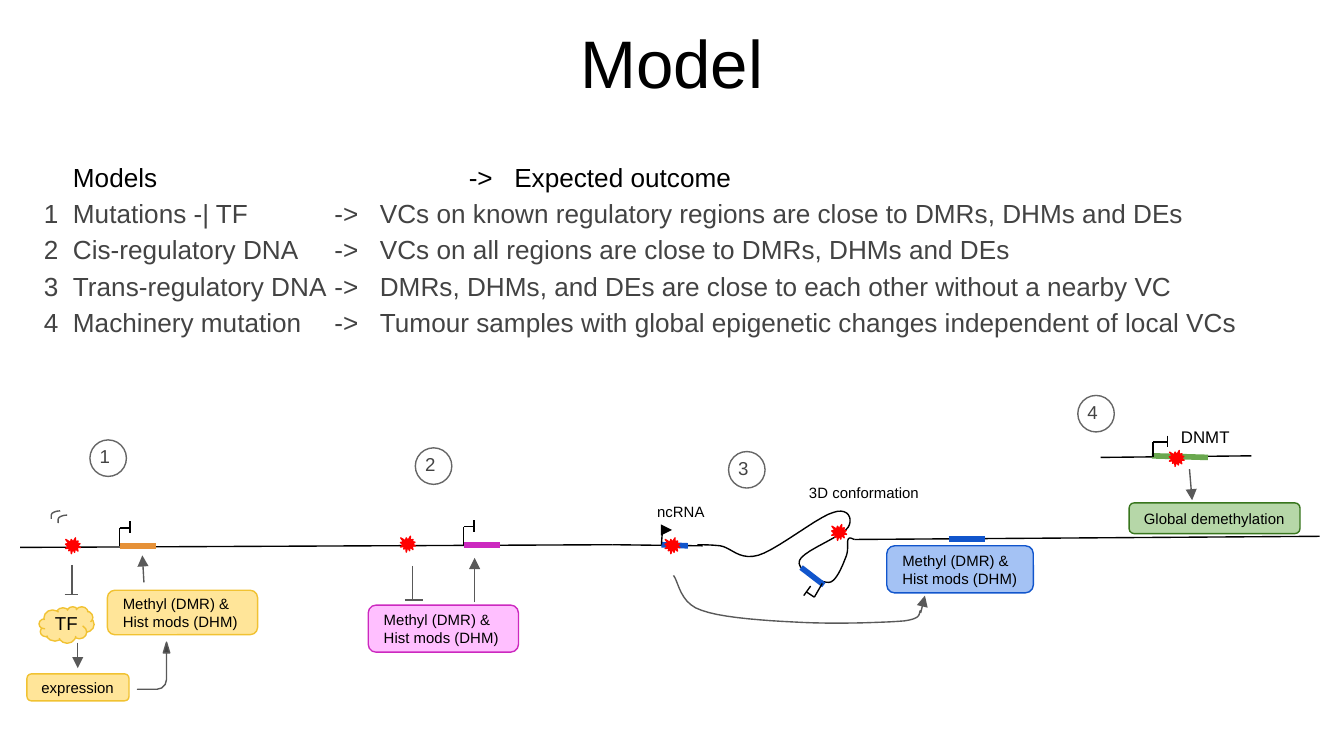
from pptx import Presentation
from pptx.dml.color import RGBColor as RGB
from pptx.enum.shapes import MSO_CONNECTOR as Link, MSO_SHAPE as Kind
from pptx.enum.text import MSO_ANCHOR as Anchor, PP_ALIGN as Align
from pptx.oxml.ns import qn
from pptx.util import Cm, Pt
from lxml.etree import SubElement as Sub

BLACK = RGB(0x00, 0x00, 0x00)
DARK = RGB(0x43, 0x43, 0x43)
GREY = RGB(0x59, 0x59, 0x59)
RING = RGB(0x66, 0x66, 0x66)
RED = RGB(0xFF, 0x00, 0x00)
CREAM = RGB(0xFF, 0xE5, 0x99)
GOLD = RGB(0xF1, 0xC2, 0x32)
ORANGE = RGB(0xE6, 0x91, 0x38)
PINK = RGB(0xFF, 0x00, 0xFF)
PLUM = RGB(0xCC, 0x29, 0xBF)
SKY = RGB(0xA4, 0xC2, 0xF4)
BLUE = RGB(0x11, 0x55, 0xCC)
MINT = RGB(0xB6, 0xD7, 0xA8)
LEAF = RGB(0x6A, 0xA8, 0x4F)
GREEN = RGB(0x38, 0x76, 0x1D)

MARKS = "Methyl (DMR) &\nHist mods (DHM)"
ROWS = [
    ("", "Models", "Expected outcome"),
    ("1", "Mutations -| TF",
     "VCs on known regulatory regions are close to DMRs, DHMs and DEs"),
    ("2", "Cis-regulatory DNA",
     "VCs on all regions are close to DMRs, DHMs and DEs"),
    ("3", "Trans-regulatory DNA",
     "DMRs, DHMs, and DEs are close to each other without a nearby VC"),
    ("4", "Machinery mutation",
     "Tumour samples with global epigenetic changes independent of local VCs"),
]
# Chromatin loop and the path from ncRNA to its target: a start, then Béziers
LOOP = [
    (16.15, 10.19), (16.13, 10.19), (16.05, 10.13), (16.03, 10.19),
    (16, 10.24), (16.05, 10.39), (15.98, 10.54),
    (15.93, 10.67), (15.8, 11), (15.67, 11),
    (15.52, 11.02), (15.04, 10.77), (15.11, 10.59),
    (15.16, 10.41), (15.93, 10.13), (16.03, 9.96),
    (16.13, 9.8), (16.03, 9.58), (15.75, 9.68),
    (15.47, 9.75), (14.68, 10.39), (14.33, 10.49),
    (13.97, 10.59), (13.82, 10.34), (13.61, 10.31),
    (13.44, 10.29), (13.26, 10.29), (13.18, 10.29),
]
TRANS = [
    (12.73, 10.87), (12.83, 11), (12.85, 11.4), (13.26, 11.53),
    (13.67, 11.68), (14.55, 11.73), (15.19, 11.76),
    (15.82, 11.79), (16.74, 11.76), (17.09, 11.73),
    (17.45, 11.68), (17.35, 11.58), (17.4, 11.53),
]


def write(frame, text, size=8, color=BLACK, align=Align.LEFT,
          anchor=Anchor.TOP, inset=0.25, space=None, tabs=()):
    """Fill a text frame, one paragraph a line; tabs has stops for each line."""
    frame.word_wrap = True
    frame.vertical_anchor = anchor
    frame.margin_left = frame.margin_right = Cm(inset)
    frame.margin_top = frame.margin_bottom = Cm(inset)
    for i, line in enumerate(text.split("\n")):
        para = frame.add_paragraph() if i else frame.paragraphs[0]
        if tabs:
            stops = Sub(para._p.get_or_add_pPr(), qn("a:tabLst"))
            for stop in tabs[i]:
                Sub(stops, qn("a:tab"), pos=str(Cm(stop)), algn="l")
        para.alignment = align
        if space:
            para.line_spacing = space
        run = para.add_run()
        run.text = line
        run.font.name, run.font.size = "Arial", Pt(size)
        run.font.color.rgb = color


def label(slide, text, x, y, w, h, **style):
    box = slide.shapes.add_textbox(Cm(x), Cm(y), Cm(w), Cm(h))
    write(box.text_frame, text, **style)
    return box


def paint(shape, fill, edge):
    shape.shadow.inherit = False
    if fill is None:
        shape.fill.background()
    else:
        shape.fill.solid()
        shape.fill.fore_color.rgb = fill
    shape.line.color.rgb = edge
    shape.line.width = Pt(0.75)


def form(slide, kind, x, y, w, h, fill, edge):
    shape = slide.shapes.add_shape(kind, Cm(x), Cm(y), Cm(w), Cm(h))
    paint(shape, fill, edge)
    return shape


def card(slide, text, x, y, w, h, fill, edge):
    shape = form(slide, Kind.ROUNDED_RECTANGLE, x, y, w, h, fill, edge)
    write(shape.text_frame, text, anchor=Anchor.MIDDLE)
    return shape


def line(slide, x1, y1, x2, y2, color=BLACK, width=0.75, head=False,
         kind=Link.STRAIGHT):
    link = slide.shapes.add_connector(kind, Cm(x1), Cm(y1), Cm(x2), Cm(y2))
    link.line.color.rgb = color
    link.line.width = Pt(width)
    if head:
        Sub(link.line._get_or_add_ln(), qn("a:tailEnd"), type="triangle")
    Sub(link._element.spPr, qn("a:effectLst"))
    return link


def curve(slide, spots, color, steps=10):
    dots = []
    for i in range(0, len(spots) - 1, 3):
        for k in range(1, steps + 1):
            t = k / steps
            mix = ((1 - t) ** 3, 3 * t * (1 - t) ** 2, 3 * t * t * (1 - t), t ** 3)
            dots.append(tuple(Cm(sum(m * p[d] for m, p in zip(mix, spots[i:i + 4])))
                              for d in (0, 1)))
    pen = slide.shapes.build_freeform(Cm(spots[0][0]), Cm(spots[0][1]))
    pen.add_line_segments(dots, close=False)
    paint(pen.convert_to_shape(), None, color)


def start(slide, x, y, rise, arm):
    """Promoter mark: a stem, an arm and a short bar at its end."""
    top = y - rise
    line(slide, x, y, x, top)
    line(slide, x, top, x + arm, top)
    line(slide, x + arm, top - 0.12, x + arm, top + 0.1)


def block(slide, x, y, end, left, right):
    """Inhibition mark: a stem that ends in a bar."""
    line(slide, x, y, x, end, GREY)
    line(slide, left, end, right, end, GREY)


def hook(slide, x, y):
    link = line(slide, x, y, x - 0.17, y + 0.15, GREY, kind=Link.CURVE)
    geom = link._element.spPr.find(qn("a:prstGeom"))
    Sub(geom.find(qn("a:avLst")), qn("a:gd"), name="adj1", fmla="val 99900")


def table(slide):
    text = "\n".join(f"{no}\t{name}\t->\t{result}" for no, name, result in ROWS)
    tabs = [(0.55, 8.03, 8.89)] + [(0.55, 5.49, 6.35)] * 4
    box = label(slide, text, 0.58, 2.24, 23.95, 4.42, size=14, color=DARK,
                anchor=Anchor.MIDDLE, space=1.15, tabs=tabs)
    box.text_frame.margin_top = Cm(0.69)
    box.text_frame.paragraphs[0].runs[0].font.color.rgb = BLACK


def genome(slide):
    # DNA strands
    for ends in [(0.38, 10.34, 11.58, 10.29), (11.58, 10.29, 13.28, 10.31),
                 (16.15, 10.19, 24.94, 10.13), (20.8, 8.64, 23.65, 8.61)]:
        line(slide, *ends)
    curve(slide, LOOP, BLACK)
    # Regions on the strands
    for *ends, color in [
            (2.26, 10.31, 2.95, 10.31, ORANGE), (8.76, 10.29, 9.45, 10.29, PLUM),
            (12.5, 10.29, 13, 10.31, BLUE), (15.14, 10.72, 15.57, 11.05, BLUE),
            (17.93, 10.18, 18.62, 10.18, BLUE), (21.77, 8.61, 22.83, 8.64, LEAF)]:
        line(slide, *ends, color, 3)
    # Promoters, the one on the loop being tilted
    start(slide, 2.26, 10.31, 0.34, 0.2)
    start(slide, 8.76, 10.29, 0.34, 0.2)
    start(slide, 21.79, 8.64, 0.29, 0.28)
    for ends in [(15.54, 11.02, 15.39, 11.28), (15.24, 11.18, 15.39, 11.28),
                 (15.19, 11.25, 15.32, 11.07), (12.5, 10.29, 12.52, 10.01)]:
        line(slide, *ends)
    line(slide, 12.5, 10.01, 12.7, 10.01, head=True)
    # Mutations
    for x, y in [(1.24, 10.16), (7.57, 10.13), (12.57, 10.16),
                 (15.72, 9.91), (22.1, 8.51)]:
        form(slide, Kind.EXPLOSION1, x, y, 0.28, 0.3, RED, RED)


def effects(slide):
    # Outcome cards
    card(slide, MARKS, 2.03, 11.15, 2.84, 0.84, CREAM, GOLD)
    card(slide, "expression", 0.51, 12.73, 1.93, 0.51, CREAM, GOLD)
    pale = card(slide, MARKS, 6.96, 11.43, 2.84, 0.89, PINK, PLUM)
    tint = pale.fill._xPr.find(qn("a:solidFill"))[0]
    Sub(tint, qn("a:alpha"), val="25000")
    card(slide, MARKS, 16.76, 10.31, 2.77, 0.89, SKY, BLUE)
    card(slide, "Global demethylation", 21.34, 9.5, 3.23, 0.58, MINT, GREEN)
    form(slide, Kind.CLOUD, 0.74, 11.46, 1.04, 0.69, CREAM, GOLD)
    # Arrows and inhibition marks
    for ends in [(1.47, 12.14, 1.47, 12.62), (2.72, 11, 2.69, 10.49),
                 (8.97, 11.38, 8.97, 10.54), (17.4, 11.58, 17.48, 11.25),
                 (22.48, 8.86, 22.53, 9.45)]:
        line(slide, *ends, GREY, head=True)
    block(slide, 1.36, 10.67, 11.23, 1.22, 1.47)
    block(slide, 7.8, 10.69, 11.33, 7.65, 8)
    curve(slide, TRANS, GREY)
    hook(slide, 1.14, 9.65)
    hook(slide, 1.27, 9.73)
    bent = form(slide, Kind.BENT_ARROW, 2.46, 12.27, 0.89, 0.61, DARK, GREY)
    for i, value in enumerate((0, 0.1, 0.33, 0.3)):
        bent.adjustments[i] = value
    bent.rotation = 90
    bent._element.spPr.find(qn("a:xfrm")).set("flipH", "1")


def labels(slide):
    for no, (x, y) in enumerate([(1.7, 8.31), (7.85, 8.46),
                                 (13.77, 8.53), (20.37, 7.47)], 1):
        form(slide, Kind.OVAL, x, y, 0.69, 0.69, None, RING)
        label(slide, str(no), x, y, 0.56, 0.61, size=10, color=DARK,
              align=Align.CENTER, anchor=Anchor.MIDDLE, inset=0)
    label(slide, "TF", 0.79, 11.35, 1.07, 0.58, size=10)
    label(slide, "ncRNA", 12.17, 9.32, 1.6, 0.43)
    label(slide, "3D conformation", 15.04, 8.97, 2.8, 0.69)
    label(slide, "DNMT", 22.07, 7.87, 1.73, 0.97, size=9)


def main():
    deck = Presentation()
    deck.slide_width, deck.slide_height = Cm(25.4), Cm(14.28)
    slide = deck.slides.add_slide(deck.slide_layouts[5])
    title = slide.shapes.title
    title.left, title.top = Cm(0.86), Cm(0)
    title.width, title.height = Cm(23.67), Cm(2.34)
    write(title.text_frame, "Model", size=36, align=Align.CENTER,
          anchor=Anchor.MIDDLE)
    table(slide)
    genome(slide)
    effects(slide)
    labels(slide)
    deck.save("out.pptx")


if __name__ == "__main__":
    main()
